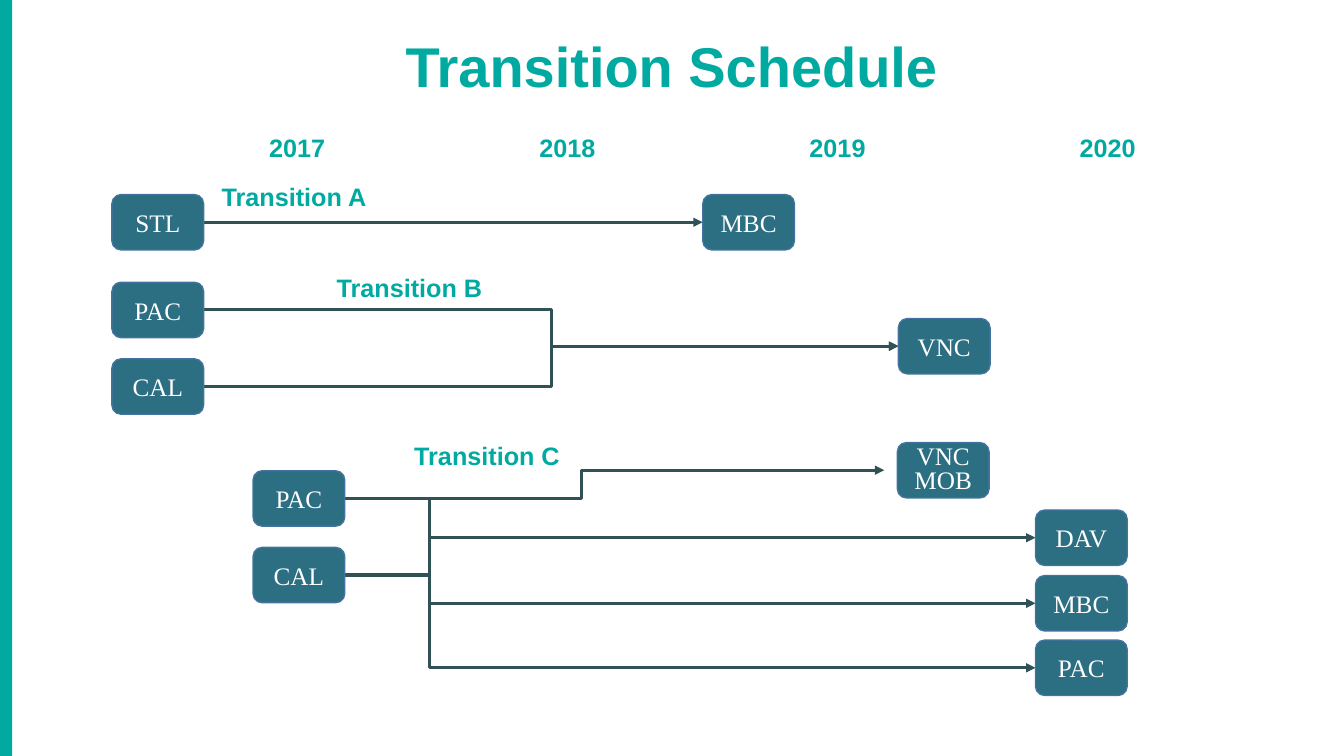
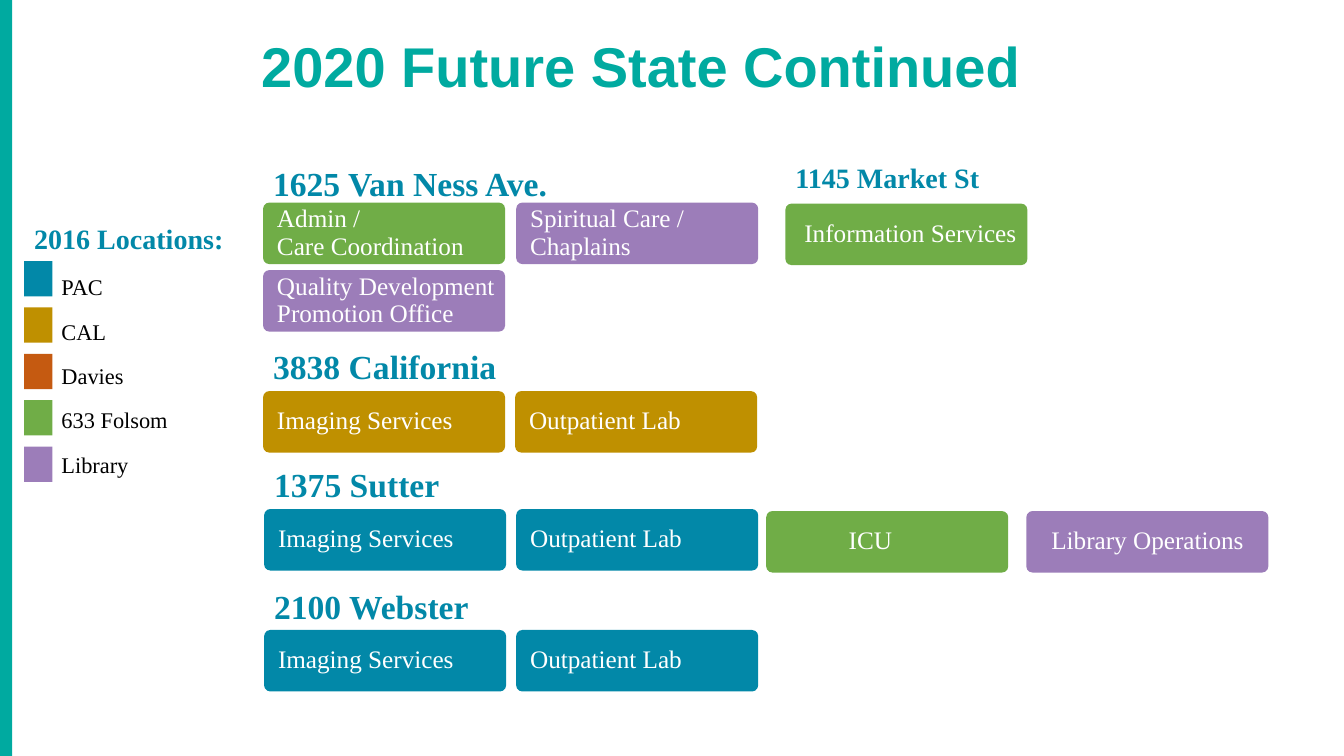
from lxml import etree
from pptx import Presentation
from pptx import util as u
from pptx.dml.color import RGBColor
from pptx.enum import shapes as sh, text as tx
from pptx.oxml import ns

TEAL = RGBColor(0x00, 0xAA, 0xA0)
SLATE = RGBColor(0x30, 0x52, 0x56)
STEEL = RGBColor(0x2C, 0x6E, 0x82)
EDGE = RGBColor(0x43, 0x73, 0x9E)
BLUE = RGBColor(0x02, 0x88, 0xA8)
GOLD = RGBColor(0xBF, 0x90, 0x00)
RUST = RGBColor(0xC5, 0x5A, 0x11)
GREEN = RGBColor(0x70, 0xAD, 0x47)
LILAC = RGBColor(0x9C, 0x7D, 0xB9)
WHITE = RGBColor(0xFF, 0xFF, 0xFF)
BLACK = RGBColor(0x00, 0x00, 0x00)

SANS = "Arial"
SERIF = "Times New Roman"
LEFT = tx.PP_ALIGN.LEFT
MID = tx.PP_ALIGN.CENTER
RECT = sh.MSO_SHAPE.RECTANGLE
ROUND = sh.MSO_SHAPE.ROUNDED_RECTANGLE
NODE_W, NODE_H = 0.91, 0.55
CARD_W, CARD_H = 2.4, 0.61


def apply(item, values):
    for key, value in values.items():
        setattr(item, key, value)


def inches(box):
    return [u.Inches(n) for n in box]


def style(para, face, size, color, bold=False, **form):
    apply(para, form)
    apply(para.font, {"name": face, "size": u.Pt(size), "bold": bold})
    para.font.color.rgb = color


def place(item, box):
    apply(item, dict(zip(("left", "top", "width", "height"), inches(box))))


def title(slide, box, words, align):
    head = slide.shapes.title
    place(head, box)
    frame = head.text_frame
    apply(frame, {"text": words, "word_wrap": True,
                  "auto_size": tx.MSO_AUTO_SIZE.NONE,
                  "vertical_anchor": tx.MSO_ANCHOR.BOTTOM})
    style(frame.paragraphs[0], SANS, 40, TEAL, True,
          alignment=align, line_spacing=0.9)


def label(slide, box, words, face, size, color):
    frame = slide.shapes.add_textbox(*inches(box)).text_frame
    frame.word_wrap = True
    para = frame.paragraphs[0]
    para.text = words
    style(para, face, size, color, True)


def block(slide, kind, box, fill, edge=None):
    shape = slide.shapes.add_shape(kind, *inches(box))
    shape.shadow.inherit = False
    shape.fill.solid()
    shape.fill.fore_color.rgb = fill
    if edge is None:
        shape.line.fill.background()
    else:
        shape.line.color.rgb = edge
        shape.line.width = u.Pt(1)
    return shape


def fill_text(shape, words, align, space, pads=None):
    frame = shape.text_frame
    apply(frame, {"word_wrap": True, "vertical_anchor": tx.MSO_ANCHOR.MIDDLE})
    if pads:
        names = ("margin_left", "margin_top", "margin_right", "margin_bottom")
        apply(frame, dict(zip(names, inches(pads))))
    para = frame.paragraphs[0]
    para.text = words
    style(para, SERIF, 18, WHITE, alignment=align, line_spacing=space)


def arrow(slide, start, end, turn=None):
    kind = sh.MSO_CONNECTOR.ELBOW if turn else sh.MSO_CONNECTOR.STRAIGHT
    line = slide.shapes.add_connector(kind, *inches(start + end))
    line.line.color.rgb = SLATE
    line.line.width = u.Pt(2.25)
    props = line.element.spPr
    if turn:
        share = round((turn - start[0]) / (end[0] - start[0]) * 100000)
        guides = props.find(ns.qn("a:prstGeom")).find(ns.qn("a:avLst"))
        etree.SubElement(guides, ns.qn("a:gd"), name="adj1", fmla=f"val {share}")
    etree.SubElement(props.find(ns.qn("a:ln")), ns.qn("a:tailEnd"), type="triangle")
    etree.SubElement(props, ns.qn("a:effectLst"))


def flow(slide, origin, name, spot, nodes, links):
    x, y = origin
    label(slide, (x + spot[0], y + spot[1], 1.69, 0.4), name, SANS, 18, TEAL)
    for first, last, turn, gap in links:
        dx, dy, _ = nodes[first]
        ex, ey, _ = nodes[last]
        arrow(slide, (x + dx + NODE_W, y + dy + NODE_H / 2),
              (x + ex - gap, y + ey + NODE_H / 2), turn and x + turn)
    for dx, dy, words in nodes:
        node = block(slide, ROUND, (x + dx, y + dy, NODE_W, NODE_H), STEEL, EDGE)
        fill_text(node, words, MID, 0.8 if "\n" in words else 1.0)


def years(slide, box):
    x, y, w, h = box
    for i in range(4):
        label(slide, (x + 2.68 * i, y, w, h), str(2017 + i), SANS, 18, TEAL)


def site(slide, box, name, size, drop, cards):
    x, y, w, h = box
    label(slide, box, name, SERIF, size, BLUE)
    for dx, dy, words, fill, pad in cards:
        card = block(slide, ROUND, (x + dx, y + drop + dy, CARD_W, CARD_H), fill)
        card.adjustments[0] = 0.1
        fill_text(card, words, LEFT, 0.9, (pad, 0.07, 0.02, 0.07))


def legend(slide, box, name, items):
    x, y, w, h = box
    label(slide, (x, y, w, 0.44), name, SERIF, 20, BLUE)
    for i, (_, fill) in enumerate(items):
        block(slide, RECT, (x, y + 0.44 + 0.46 * i, 0.28, 0.35), fill)
    body = slide.placeholders[1]
    place(body, (x + 0.27, y + 0.34, 1.53, h - 0.34))
    frame = body.text_frame
    apply(frame, {"text": "\n".join(words for words, _ in items),
                  "word_wrap": True, "auto_size": tx.MSO_AUTO_SIZE.NONE,
                  "vertical_anchor": tx.MSO_ANCHOR.TOP})
    for para in frame.paragraphs:
        props = para._p.get_or_add_pPr()
        props.set("marL", "0")
        props.set("indent", "0")
        etree.SubElement(props, ns.qn("a:buNone"))
        style(para, SERIF, 16, BLACK, alignment=LEFT,
              line_spacing=1.65, space_before=u.Pt(0))


def schedule(slide):
    title(slide, (0.91, 0.12, 11.5, 0.92), "Transition Schedule", MID)
    years(slide, (2.57, 1.26, 1.69, 0.4))
    flow(slide, (1.11, 1.93), "Transition A", (0.99, -0.18),
         [(0, 0, "STL"), (5.86, 0, "MBC")],
         [(0, 1, None, 0)])
    flow(slide, (1.11, 2.8), "Transition B", (2.13, -0.15),
         [(0, 0, "PAC"), (0, 0.76, "CAL"), (7.8, 0.36, "VNC")],
         [(0, 2, 4.36, 0), (1, 2, 4.36, 0)])
    flow(slide, (2.51, 4.67), "Transition C", (1.5, -0.35),
         [(0, 0, "PAC"), (0, 0.76, "CAL"), (6.39, -0.28, "VNC\nMOB"),
          (7.76, 0.39, "DAV"), (7.76, 1.04, "MBC"), (7.76, 1.68, "PAC")],
         [(0, 2, 3.26, 0.13), (1, 3, 1.75, 0), (0, 4, 1.75, 0), (1, 5, 1.75, 0)])


def future(slide):
    title(slide, (2.49, 0.12, 8.19, 0.92), "2020 Future State Continued", LEFT)
    legend(slide, (0.24, 2.15, 2.12, 2.66), "2016 Locations:",
           [("PAC", BLUE), ("CAL", GOLD), ("Davies", RUST),
            ("633 Folsom", GREEN), ("Library", LILAC)])

    def pair(fill):
        return [(0, 0, "Imaging Services", fill, 0.12),
                (2.5, 0, "Outpatient Lab", fill, 0.12)]

    site(slide, (2.61, 1.57, 4.87, 0.46), "1625 Van Ness Ave.", 24, 0.44,
         [(0, 0, "Admin /\nCare Coordination", GREEN, 0.12),
          (2.51, 0, "Spiritual Care / Chaplains", LILAC, 0.12),
          (0, 0.67, "Quality Development Promotion Office", LILAC, 0.12)])
    site(slide, (7.79, 1.54, 2.27, 0.44), "1145 Market St", 20, 0.48,
         [(0, 0, "Information Services", GREEN, 0.17)])
    site(slide, (2.61, 3.38, 2.64, 0.5), "3838 California", 24, 0.5, pair(GOLD))
    site(slide, (2.62, 4.55, 2.08, 0.5), "1375 Sutter", 24, 0.5,
         pair(BLUE) + [(4.98, 0.02, "ICU", GREEN, 0.8),
                       (7.56, 0.02, "Library Operations", LILAC, 0.23)])
    site(slide, (2.62, 5.76, 2.96, 0.5), "2100 Webster", 24, 0.49, pair(BLUE))


def main():
    deck = Presentation()
    apply(deck, {"slide_width": u.Inches(13.33), "slide_height": u.Inches(7.5)})
    first = deck.slides.add_slide(deck.slide_layouts[5])
    band = block(first, RECT, (0, 0, 0.12, 7.5), TEAL)
    deck.slide_master.shapes.element.insert(2, band.element)
    schedule(first)
    future(deck.slides.add_slide(deck.slide_layouts[1]))
    deck.save("out.pptx")


if __name__ == "__main__":
    main()
